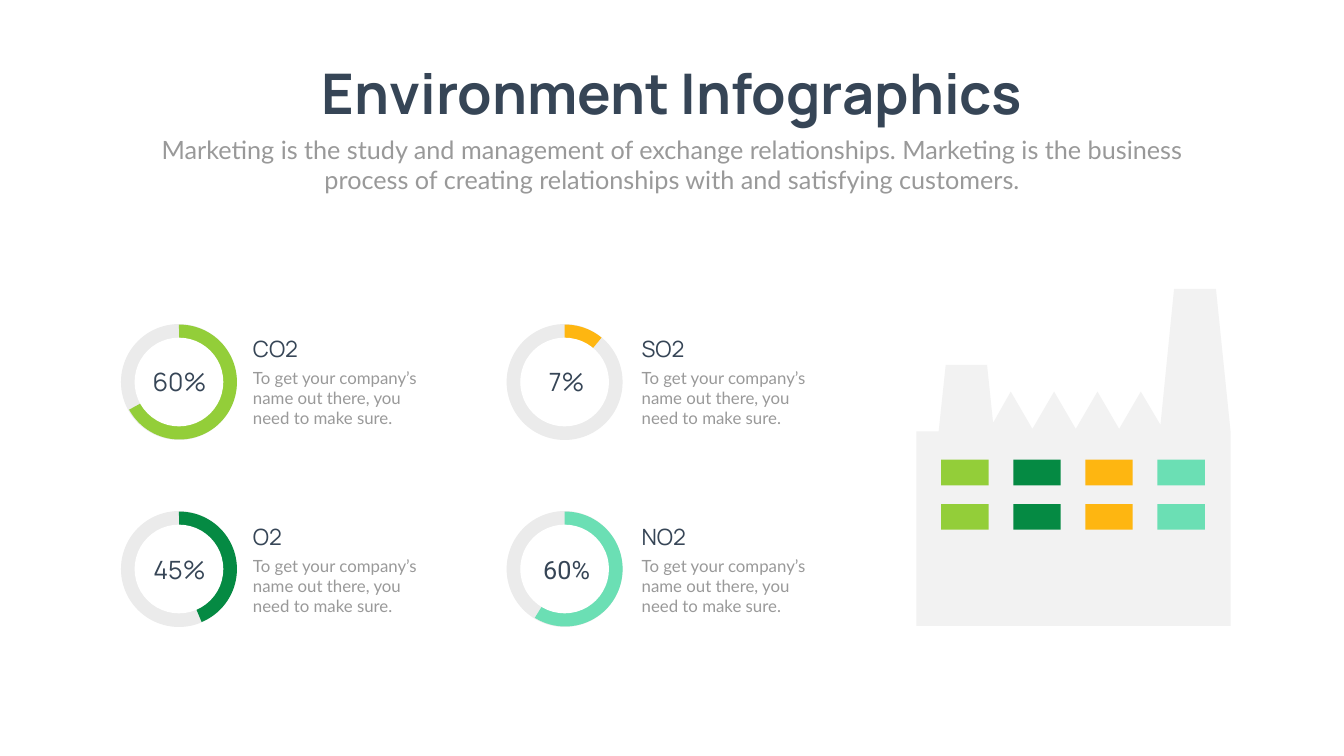
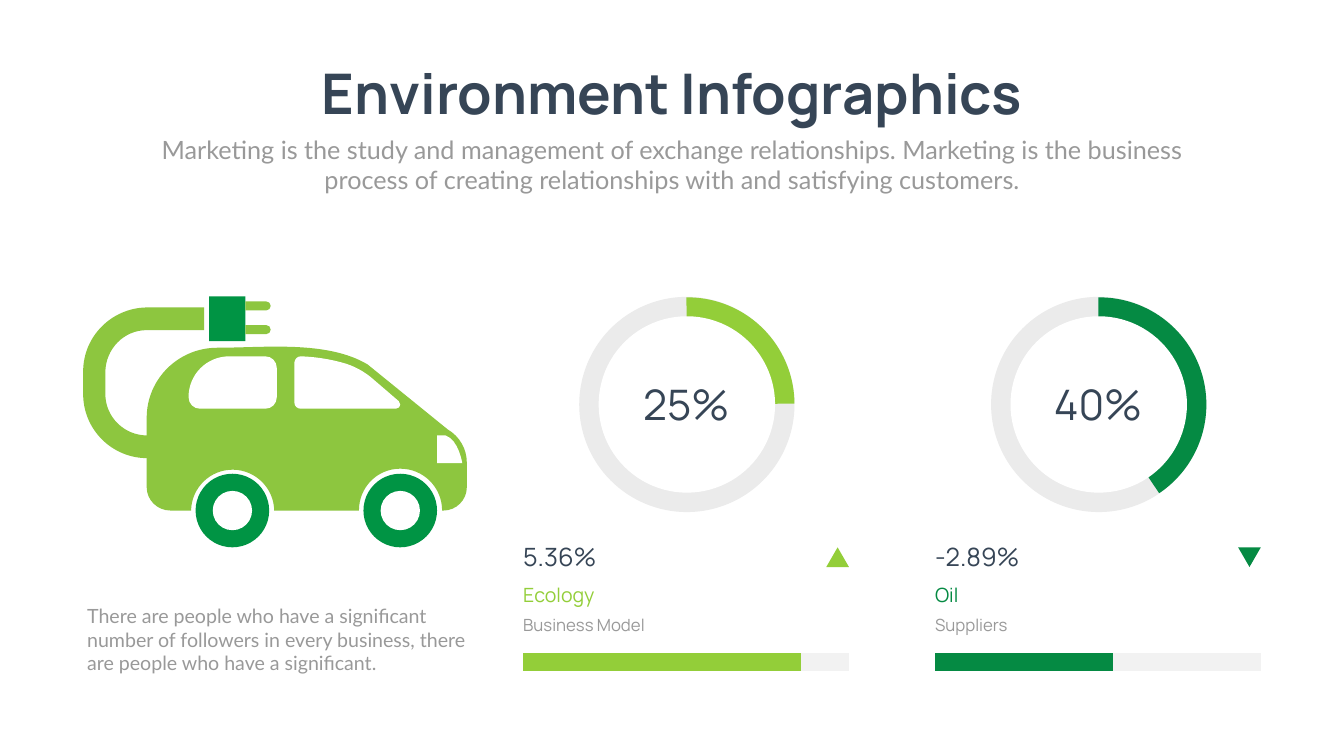
from dataclasses import dataclass

from lxml import etree
from pptx import Presentation
from pptx.dml.color import RGBColor
from pptx.enum.shapes import MSO_CONNECTOR, MSO_SHAPE
from pptx.enum.text import MSO_AUTO_SIZE, PP_ALIGN
from pptx.oxml.ns import qn
from pptx.util import Inches, Pt

RECT, OVAL, PIE = MSO_SHAPE.RECTANGLE, MSO_SHAPE.OVAL, MSO_SHAPE.PIE
TRIANGLE, STRAIGHT = MSO_SHAPE.ISOSCELES_TRIANGLE, MSO_CONNECTOR.STRAIGHT
LEFT, CENTER = PP_ALIGN.LEFT, PP_ALIGN.CENTER
GROW = MSO_AUTO_SIZE.SHAPE_TO_FIT_TEXT

COLS, ROWS = 26.66, 15
CELL = Inches(1)
PIE_START = 269.5
DEGREE = 0.6


@dataclass(frozen=True)
class Theme:
    head: str = "Manrope"
    body: str = "Lato"
    alt: str = "Roboto"
    ink: str = "364556"
    muted: str = "999999"
    track: str = "EBEBEB"
    pale: str = "F2F2F2"
    white: str = "FFFFFF"
    lime: str = "93CE39"
    green: str = "058A43"
    amber: str = "FEB611"
    mint: str = "6BDFB4"
    car: str = "8DC63F"
    wheel: str = "009444"
    title: int = 80
    gauge: int = 60
    lead: int = 36
    label: int = 32
    note: int = 28
    small: int = 24
    bar: int = 25
    leading: float = 40.8


T = Theme()


def grid(*cells):
    return [round(c * CELL) for c in cells]


def rgb(value):
    return RGBColor.from_string(value)


def paint(shape, color):
    shape.shadow.inherit = False
    shape.fill.solid()
    shape.fill.fore_color.rgb = rgb(color)
    shape.line.fill.background()
    return shape


def block(shapes, kind, x, y, w, h, color):
    return paint(shapes.add_shape(kind, *grid(x, y, w, h)), color)


def disc(shapes, cx, cy, d, color, kind=OVAL):
    return block(shapes, kind, cx - d / 2, cy - d / 2, d, d, color)


def text(shapes, x, y, w, h, words, size, color=T.ink, font=T.head,
         align=LEFT, bold=False, wrap=True, leading=None):
    tf = shapes.add_textbox(*grid(x, y, w, h)).text_frame
    tf.word_wrap, tf.auto_size = wrap, GROW
    p = tf.paragraphs[0]
    p.alignment = align
    if leading:
        p.line_spacing = Pt(leading)
    r = p.add_run()
    r.text = words
    for name, value in {"size": Pt(size), "name": font, "bold": bold}.items():
        setattr(r.font, name, value)
    r.font.color.rgb = rgb(color)


def bend(segment, shape, controls):
    segment.tag = qn("a:cubicBezTo")
    values = grid(*controls)
    for i in (0, 2):
        pt = etree.Element(qn("a:pt"), x=str(values[i] - shape.left),
                           y=str(values[i + 1] - shape.top))
        segment.insert(i // 2, pt)


def outline(shapes, color, start, *steps):
    builder = shapes.build_freeform(*grid(*start), scale=1.0)
    builder.add_line_segments([grid(*step[-2:]) for step in steps], close=True)
    shape = paint(builder.convert_to_shape(), color)
    segments = list(shape._element.iter(qn("a:lnTo")))
    for segment, step in zip(segments, steps):
        if len(step) == 6:
            bend(segment, shape, step[:4])
    return shape


def bar(shapes, x, y, length, color):
    line = shapes.add_connector(STRAIGHT, *grid(x, y, x + length, y))
    line.line.color.rgb = rgb(color)
    line.line.width = Pt(T.bar)
    etree.SubElement(line._element.spPr, qn("a:effectLst"))


def ring(shapes, x, y, d, hole, end, color):
    cx, cy = x + d / 2, y + d / 2
    disc(shapes, cx, cy, d, T.track)
    pie = disc(shapes, cx + 0.01, cy, d - 0.02, color, PIE)
    pie.adjustments[0] = PIE_START * DEGREE
    pie.adjustments[1] = end * DEGREE
    disc(shapes, cx, cy, hole, T.white)


def header(shapes):
    text(shapes, 5.7, 1.12, 15.27, 1.45, "Environment Infographics", T.title,
         align=CENTER, bold=True, wrap=False)
    text(shapes, 2.92, 2.61, 20.82, 1.31,
         "Marketing is the study and management of exchange relationships. "
         "Marketing is the business process of creating relationships with "
         "and satisfying customers.", T.lead, T.muted, T.body, CENTER)


def gas(shapes, column, row, name, value, end, color, font=T.head):
    x, value_x, text_x, name_w = column
    y, value_y, name_y, body_y = row
    ring(shapes, x, y, 2.3, 1.76, end, color)
    text(shapes, value_x, value_y, 1.54, 0.71, value, T.lead, font=font, align=CENTER)
    text(shapes, text_x, name_y, name_w, 0.64, name, T.label)
    text(shapes, text_x, body_y, 3.57, 1.31,
         "To get your company’s name out there, you need to make sure.",
         T.small, T.muted, T.body)


def factory(shapes):
    teeth = [(22.63 - 0.43 * i, 8.51 if i % 2 else 7.77) for i in range(7)]
    outline(shapes, T.pale, (24.41, 8.56), (24.12, 5.73), (23.29, 5.73), (23.02, 8.43),
            *teeth, (19.7, 8.39), (19.58, 7.24), (18.76, 7.24), (18.62, 8.56),
            (18.18, 8.56), (18.18, 12.42), (24.41, 12.42))
    windows = shapes.add_group_shape().shapes
    for row in range(2):
        for col, color in enumerate((T.lime, T.green, T.amber, T.mint)):
            block(windows, RECT, 18.67 + 1.43 * col, 9.12 + 0.88 * row, 0.94, 0.51, color)


def wheel(shapes, cx):
    disc(shapes, cx, 10.13, 1.46, T.wheel)
    disc(shapes, cx, 10.13, 0.78, T.white)


def prong(shapes, y):
    outline(shapes, T.car, (5.28, y), (4.87, y), (4.87, y + 0.18), (5.28, y + 0.18),
            (5.33, y + 0.18, 5.37, y + 0.14, 5.37, y + 0.09),
            (5.37, y + 0.04, 5.33, y, 5.28, y))


def electric_car(shapes):
    outline(shapes, T.car, (8.88, 8.52), (7.29, 7.23),
            (6.48, 6.75, 5.25, 6.9, 4.31, 6.9), (3.54, 6.9, 2.91, 7.52, 2.91, 8.29),
            (2.91, 9.67), (2.91, 9.92, 3.12, 10.13, 3.38, 10.13), (3.79, 10.13),
            (3.8, 9.67, 4.18, 9.31, 4.63, 9.32), (5.07, 9.33, 5.43, 9.68, 5.44, 10.13),
            (7.12, 10.13), (7.12, 9.67, 7.48, 9.3, 7.94, 9.3),
            (8.4, 9.3, 8.77, 9.67, 8.77, 10.13), (8.8, 10.13),
            (9.05, 10.13, 9.26, 9.92, 9.26, 9.67), (9.26, 9.18),
            (9.26, 8.91, 9.12, 8.66, 8.88, 8.52))
    for cx in (4.61, 7.94):
        wheel(shapes, cx)
    outline(shapes, T.white, (7.91, 7.96), (7.41, 7.53),
            (7.23, 7.37, 7.01, 7.25, 6.77, 7.19), (6.51, 7.12, 6.24, 7.08, 5.97, 7.07),
            (5.9, 7.07, 5.85, 7.12, 5.84, 7.19), (5.84, 7.99),
            (5.84, 8.06, 5.9, 8.11, 5.97, 8.11), (7.85, 8.11),
            (7.9, 8.11, 7.94, 8.07, 7.94, 8.03), (7.94, 8, 7.93, 7.98, 7.91, 7.96))
    outline(shapes, T.white, (3.97, 8.11), (5.26, 8.11),
            (5.39, 8.11, 5.49, 8.01, 5.49, 7.88), (5.49, 7.3),
            (5.49, 7.17, 5.39, 7.07, 5.26, 7.07), (4.55, 7.07),
            (4.1, 7.07, 3.74, 7.43, 3.74, 7.88), (3.74, 8.01, 3.84, 8.11, 3.97, 8.11))
    block(shapes, RECT, 4.15, 5.88, 0.72, 0.89, T.wheel)
    for y in (5.98, 6.45):
        prong(shapes, y)
    outline(shapes, T.car, (2.92, 9.09), (2.22, 9.09, 1.65, 8.52, 1.65, 7.82),
            (1.65, 7.37), (1.65, 6.67, 2.22, 6.11, 2.91, 6.1), (4.05, 6.1), (4.05, 6.55),
            (2.91, 6.55), (2.46, 6.55, 2.1, 6.92, 2.09, 7.37), (2.09, 7.82),
            (2.09, 8.27, 2.46, 8.64, 2.92, 8.64))
    outline(shapes, T.white, (8.67, 9.19), (9.17, 9.19),
            (9.17, 9.19, 9.1, 8.73, 8.84, 8.64), (8.67, 8.64))


def indicator(shapes, x, share, end, change, name, kind, done, turn, color):
    ring(shapes, x + 1.11, 5.89, 4.27, 3.5, end, color)
    text(shapes, x + 1.42, 7.47, 3.62, 1.11, share, T.gauge, align=CENTER)
    bar(shapes, x, 13.14, 6.46, T.pale)
    bar(shapes, x, 13.14, done, color)
    block(shapes, TRIANGLE, x + 6.01, 10.86, 0.45, 0.39, color).rotation = turn
    text(shapes, x - 0.1, 10.7, 2.04, 0.71, change, T.lead)
    text(shapes, x - 0.1, 11.42, 2.93, 0.65, name, T.note, color, leading=T.leading)
    text(shapes, x - 0.1, 11.98, 2.93, 0.63, kind, T.small, T.muted, leading=T.leading)


def gases_slide(shapes):
    header(shapes)
    left, right = (2.4, 2.79, 4.92, 4.99), (10.05, 10.47, 12.63, 3.75)
    top, bottom = (6.43, 7.22, 6.6, 7.24), (10.14, 10.95, 10.33, 10.97)
    gas(shapes, left, top, "CO2", "60%", 151.2, T.lime)
    gas(shapes, right, top, "SO2", "7%", 309.33, T.amber)
    gas(shapes, left, bottom, "O2", "45%", 67.31, T.green)
    gas(shapes, right, bottom, "NO2", "60%", 121.85, T.mint, T.alt)
    factory(shapes)


def car_slide(shapes):
    header(shapes)
    electric_car(shapes.add_group_shape().shapes)
    text(shapes, 1.63, 11.94, 8.25, 1.51,
         "There are people who have a significant number of followers in every "
         "business, there are people who have a significant.",
         T.note, T.muted, T.body)
    indicator(shapes, 10.38, "25%", 359.55, "5.36%", "Ecology", "Business Model",
              5.51, 0, T.lime)
    indicator(shapes, 18.55, "40%", 55.97, "-2.89%", "Oil", "Suppliers",
              3.52, 180, T.green)


def main():
    prs = Presentation()
    prs.slide_width, prs.slide_height = grid(COLS, ROWS)
    for build in (gases_slide, car_slide):
        s = prs.slides.add_slide(prs.slide_layouts[6])
        build(s.shapes)
    prs.save("out.pptx")


if __name__ == "__main__":
    main()
